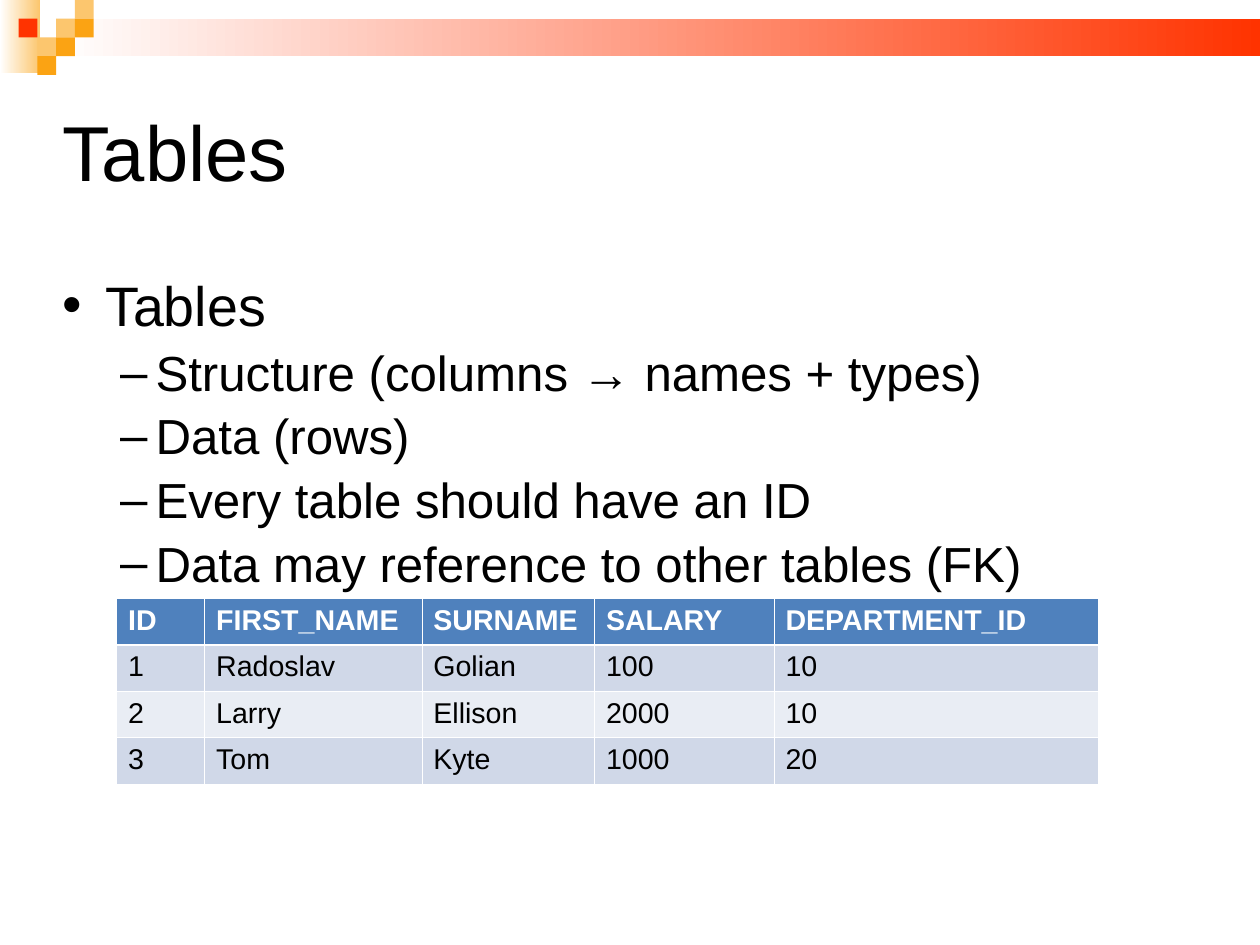
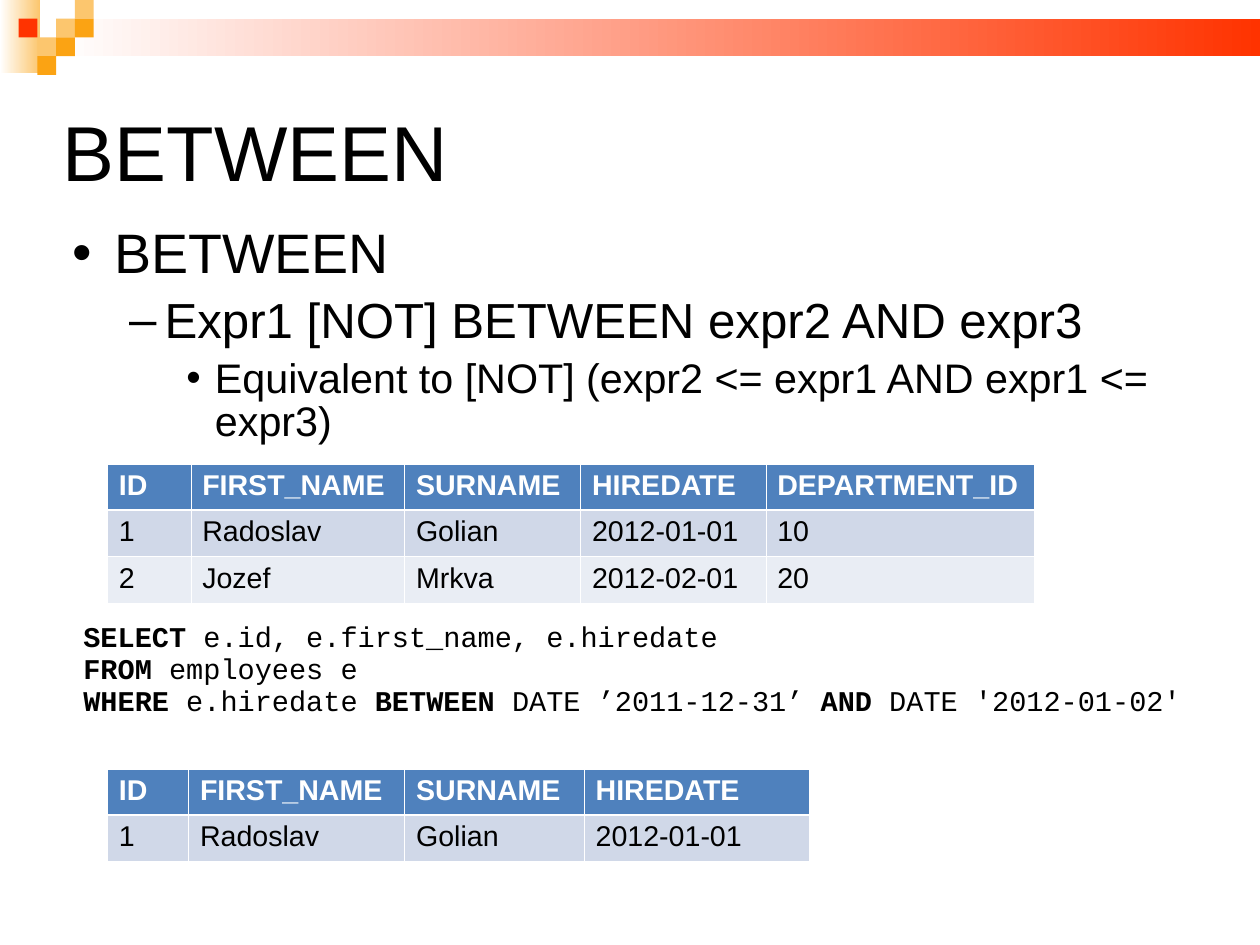
from itertools import cycle

from pptx import Presentation
from pptx.dml.color import RGBColor
from pptx.enum.shapes import MSO_SHAPE as Preset
from pptx.enum.text import MSO_ANCHOR as Anchor
from pptx.oxml.ns import qn
from pptx.util import Cm, Inches, Pt
from lxml.etree import SubElement

WIDTH, HEIGHT = Cm(28), Cm(21)
SQUARE = Pt(11.8)

COLORS = {
    "text": "000000", "white": "FFFFFF",
    "red": "FF3300", "orange": "FBA313", "peach": "FCC66E",
    "header": "4F81BD", "band_dark": "D0D8E8", "band_light": "E9EDF4",
}

FONTS = {
    "title": {"name": "Arial", "size": Pt(49)},
    "cell": {"name": "Arial", "size": Pt(18), "bold": False},
    "header": {"name": "Arial", "size": Pt(18), "bold": True},
    "code": {"name": "Courier New", "size": Pt(18), "bold": False},
    "keyword": {"name": "Courier New", "size": Pt(18), "bold": True},
}

# Outline levels: bullet, text indent and hanging part in inches, size and space before in points
LEVELS = [
    {"bullet": "•", "indent": 0.37, "hang": 0.37, "size": 35, "before": 8.8},
    {"bullet": "–", "indent": 0.81, "hang": 0.31, "size": 31, "before": 7.7},
    {"bullet": "•", "indent": 1.25, "hang": 0.25, "size": 26, "before": 6.5},
]

# Squares of the corner mosaic: column, row, colour
MOSAIC = [
    (3, 1, "peach"), (4, 0, "peach"), (4, 1, "orange"), (2, 2, "peach"),
    (1, 1, "red"), (3, 2, "orange"), (2, 3, "orange"),
]

THIN, THICK = Pt(0.45), Pt(1.47)
ROW_HEIGHT = 4.9


def rgb(color):
    return RGBColor.from_string(COLORS[color])


def across(percent):
    return round(WIDTH * percent / 100)


def down(percent):
    return round(HEIGHT * percent / 100)


def set_values(target, values):
    for attribute, value in values.items():
        setattr(target, attribute, value)


def add_run(paragraph, text, font, color="text"):
    run = paragraph.add_run()
    run.text = text
    set_values(run.font, font)
    run.font.color.rgb = rgb(color)


def add_block(slide, color, left, top, width, height, fades=False):
    """Add a borderless rectangle; a fading one turns white towards the left."""
    block = slide.shapes.add_shape(Preset.RECTANGLE, left, top, width, height)
    block.shadow.inherit = False
    block.line.fill.background()
    if fades:
        block.fill.gradient()
        block.fill.gradient_angle = 180
        for stop, shade in zip(block.fill.gradient_stops, (color, "white")):
            stop.color.rgb = rgb(shade)
    else:
        block.fill.solid()
        block.fill.fore_color.rgb = rgb(color)


def add_banner(slide):
    add_block(slide, "peach", 0, 0, Inches(0.35), Inches(0.64), fades=True)
    add_block(slide, "red", 3 * SQUARE, SQUARE, WIDTH - 3 * SQUARE, 2 * SQUARE, fades=True)
    for column, row, color in MOSAIC:
        add_block(slide, color, column * SQUARE, row * SQUARE, SQUARE, SQUARE)


def add_text_frame(slide, left, top, width, height, margins):
    """Add a wrapping text box placed in percent of the slide, margins in inches."""
    frame = slide.shapes.add_textbox(
        across(left), down(top), across(width), down(height)).text_frame
    frame.word_wrap = True
    sides = ("margin_left", "margin_top", "margin_right", "margin_bottom")
    set_values(frame, dict(zip(sides, map(Inches, margins))))
    return frame


def add_paragraphs(frame, count):
    return [frame.paragraphs[0]] + [frame.add_paragraph() for _ in range(count - 1)]


def add_titled_slide(deck, title):
    slide = deck.slides.add_slide(deck.slide_layouts[6])
    add_banner(slide)
    frame = add_text_frame(slide, 5, 6.65, 90, 19.95, (0, 0, 0, 0))
    frame.vertical_anchor = Anchor.MIDDLE
    heading = frame.paragraphs[0]
    heading.line_spacing = 0.87
    add_run(heading, title, FONTS["title"])
    return slide


def add_bullet(paragraph, level):
    properties = paragraph._p.get_or_add_pPr()
    properties.set("marL", str(Inches(level["indent"])))
    properties.set("indent", str(-Inches(level["hang"])))
    bullet_color = SubElement(properties, qn("a:buClr"))
    SubElement(bullet_color, qn("a:srgbClr"), val=COLORS["text"])
    SubElement(properties, qn("a:buFont"), typeface="Arial")
    SubElement(properties, qn("a:buChar"), char=level["bullet"])


def add_outline(slide, left, top, items):
    frame = add_text_frame(slide, left, top, 90, 56.6, (0, 0.06, 0, 0))
    paragraphs = add_paragraphs(frame, len(items))
    for index, (paragraph, (depth, text)) in enumerate(zip(paragraphs, items)):
        level = LEVELS[depth]
        paragraph.level = depth
        paragraph.line_spacing = 0.87
        if index:
            paragraph.space_before = Pt(level["before"])
        add_bullet(paragraph, level)
        add_run(paragraph, text, {"name": "Arial", "size": Pt(level["size"])})


def add_code(slide, left, top, width, height, lines):
    """Add code lines whose pieces alternate between keyword and plain code."""
    frame = add_text_frame(slide, left, top, width, height, (0.1, 0.05, 0.1, 0.05))
    for paragraph, pieces in zip(add_paragraphs(frame, len(lines)), lines):
        paragraph.line_spacing = 0.94
        for piece, font in zip(pieces, cycle(("keyword", "code"))):
            add_run(paragraph, piece, FONTS[font])


def set_borders(cell, row):
    """Draw white cell borders, thick between the header and the first record."""
    widths = {
        "a:lnL": THIN, "a:lnR": THIN,
        "a:lnT": THICK if row == 1 else THIN,
        "a:lnB": THICK if row == 0 else THIN,
    }
    properties = cell._tc.get_or_add_tcPr()
    for side, width in widths.items():
        border = SubElement(properties, qn(side), w=str(width))
        fill = SubElement(border, qn("a:solidFill"))
        SubElement(fill, qn("a:srgbClr"), val=COLORS["white"])


def add_records(slide, left, top, columns, records):
    """Add a table with a header row; column widths are percent of the slide."""
    table = slide.shapes.add_table(
        len(records), len(columns), across(left), down(top),
        across(sum(columns)), down(ROW_HEIGHT * len(records))).table
    table.horz_banding = False
    for column, width in zip(table.columns, columns):
        column.width = across(width)
    for row, record in enumerate(records):
        table.rows[row].height = down(ROW_HEIGHT)
        if row == 0:
            font, color, background = "header", "white", "header"
        else:
            font, color = "cell", "text"
            background = "band_dark" if row % 2 else "band_light"
        for column, value in enumerate(record):
            cell = table.cell(row, column)
            set_borders(cell, row)
            cell.fill.solid()
            cell.fill.fore_color.rgb = rgb(background)
            add_run(cell.text_frame.paragraphs[0], value, FONTS[font], color)


def build_tables_slide(deck):
    slide = add_titled_slide(deck, "Tables")
    add_outline(slide, 5, 28.9, [
        (0, "Tables"),
        (1, "Structure (columns → names + types)"),
        (1, "Data (rows)"),
        (1, "Every table should have an ID"),
        (1, "Data may reference to other tables (FK)"),
    ])
    add_records(slide, 9.26, 63.36, [6.99, 17.24, 13.7, 14.25, 25.77], [
        ("ID", "FIRST_NAME", "SURNAME", "SALARY", "DEPARTMENT_ID"),
        ("1", "Radoslav", "Golian", "100", "10"),
        ("2", "Larry", "Ellison", "2000", "10"),
        ("3", "Tom", "Kyte", "1000", "20"),
    ])


def build_between_slide(deck):
    slide = add_titled_slide(deck, "BETWEEN")
    add_outline(slide, 5.72, 23.34, [
        (0, "BETWEEN"),
        (1, "Expr1 [NOT] BETWEEN expr2 AND expr3"),
        (2, "Equivalent to [NOT] (expr2 <= expr1 AND expr1 <= expr3)"),
    ])
    add_code(slide, 5.72, 65.18, 90.74, 11.49, [
        ("SELECT ", "e.id, e.first_name, e.hiredate"),
        ("FROM", " employees e"),
        ("WHERE ", "e.hiredate ", "BETWEEN ", "DATE ’2011-12-31’ ",
         "AND ", "DATE '2012-01-02'"),
    ])
    header = ("ID", "FIRST_NAME", "SURNAME", "HIREDATE")
    match = ("1", "Radoslav", "Golian", "2012-01-01")
    add_records(slide, 8.53, 81.38, [6.44, 17.15, 14.25, 17.88], [header, match])
    add_records(slide, 8.53, 49.09, [6.62, 16.97, 13.97, 14.7, 21.32], [
        (*header, "DEPARTMENT_ID"),
        (*match, "10"),
        ("2", "Jozef", "Mrkva", "2012-02-01", "20"),
    ])


def main():
    deck = Presentation()
    deck.slide_width = WIDTH
    deck.slide_height = HEIGHT
    build_tables_slide(deck)
    build_between_slide(deck)
    deck.save("out.pptx")


if __name__ == "__main__":
    main()
